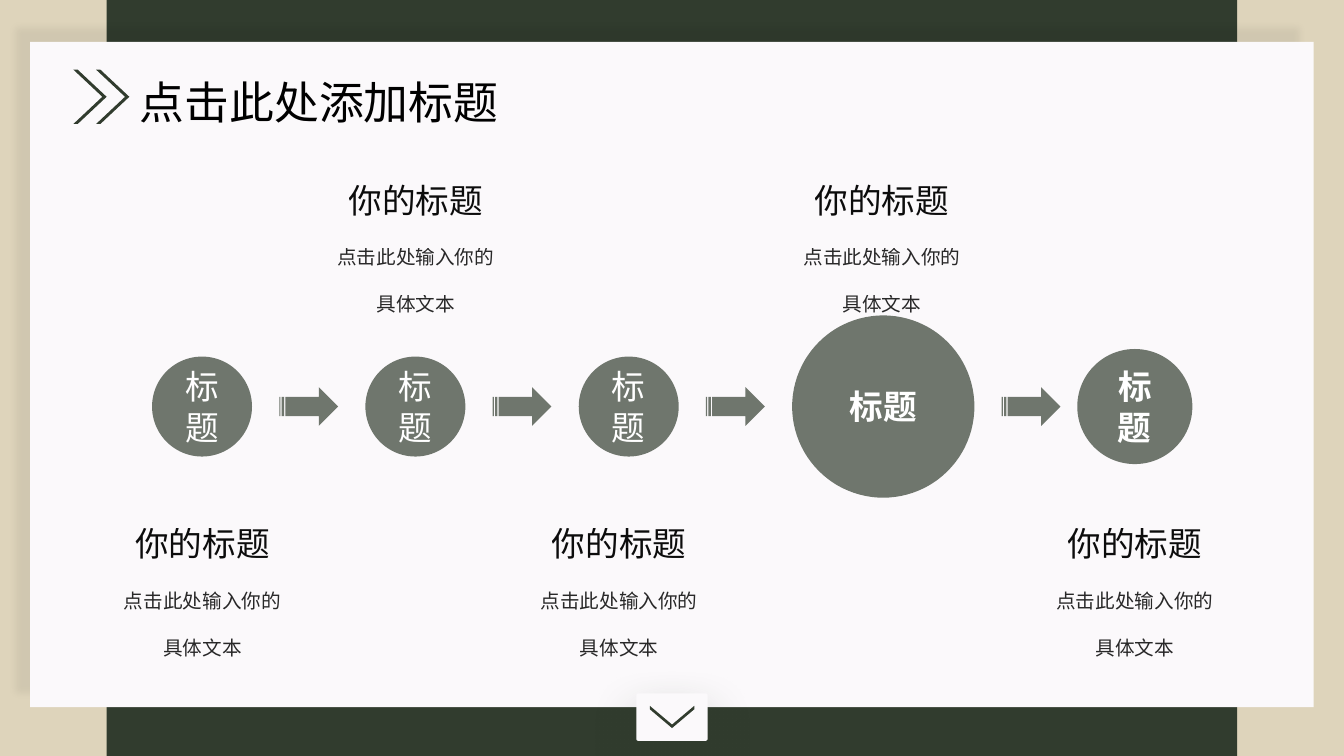
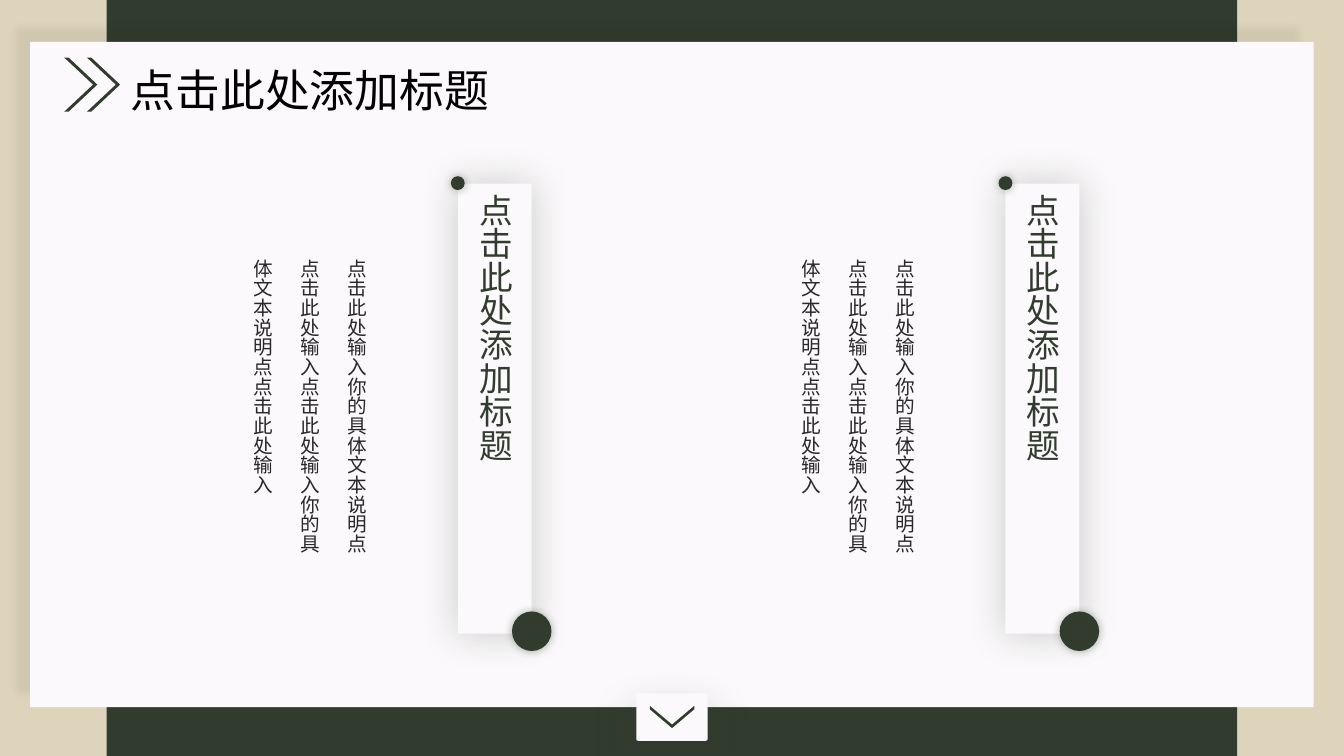
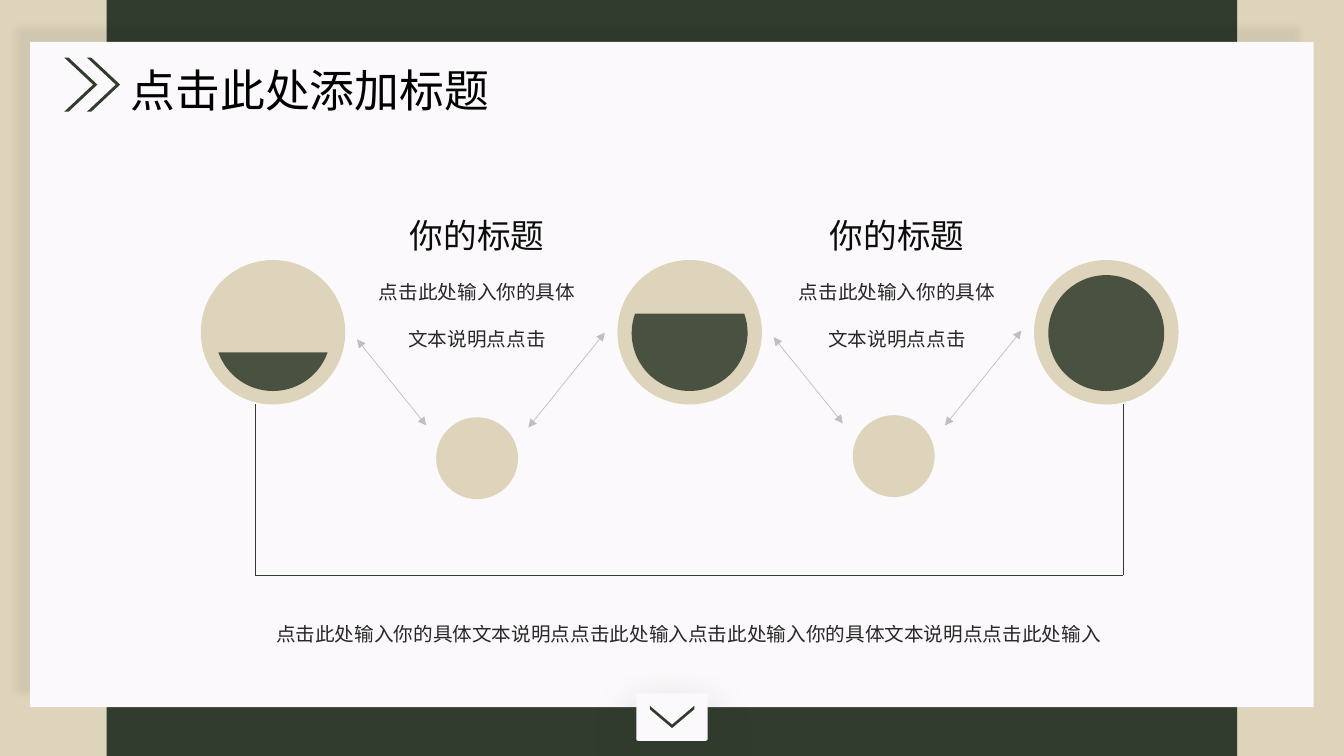
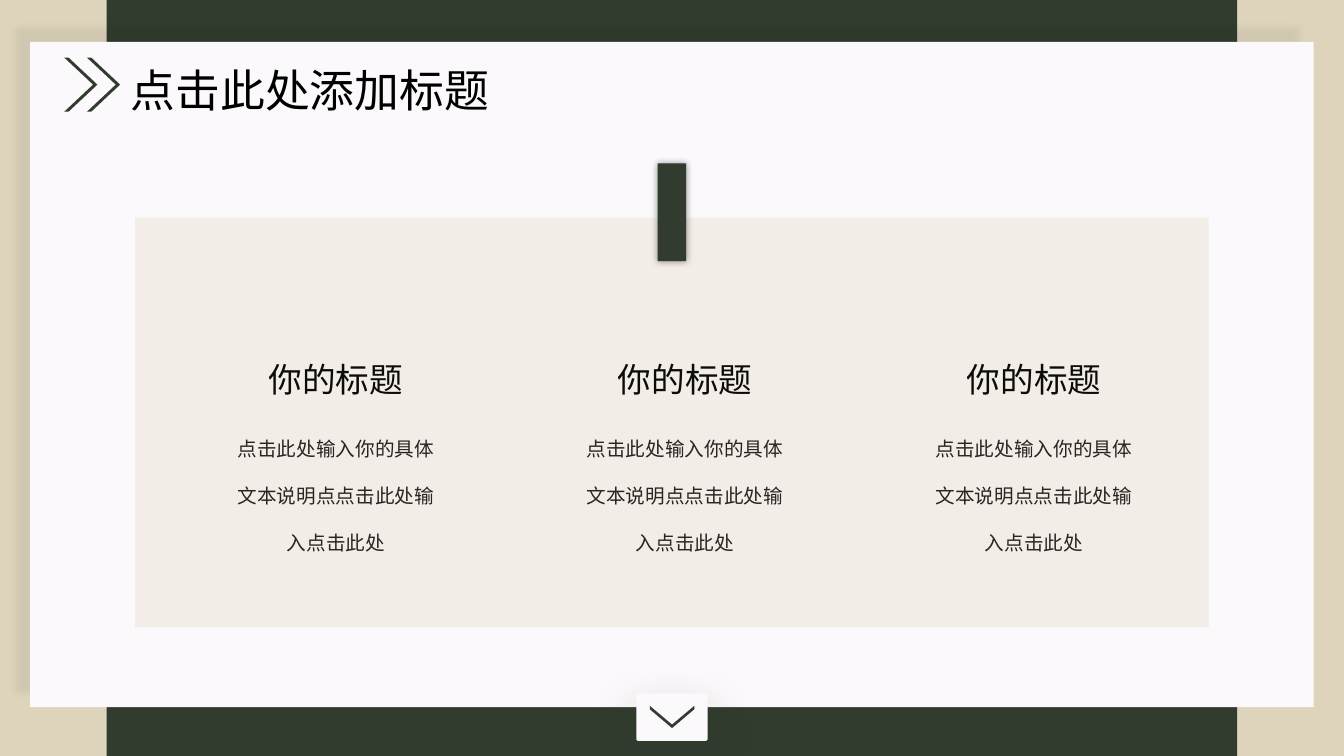
from math import asin, degrees

from lxml.etree import SubElement
from pptx import Presentation
from pptx.dml.color import RGBColor
from pptx.enum.lang import MSO_LANGUAGE_ID
from pptx.enum.shapes import MSO_CONNECTOR, MSO_SHAPE
from pptx.enum.text import MSO_ANCHOR, MSO_AUTO_SIZE, PP_ALIGN
from pptx.oxml.ns import qn
from pptx.util import Emu, Inches, Pt

COLS, ROWS = 160, 90
GREEN, BEIGE, PAPER = "313C2E", "DED4BB", "FBF9FB"
BLACK, WHITE, GREY = "000000", "FFFFFF", "BFBFBF"
TITLE = "点击此处添加标题"
HEADING = "你的标题"
PROMPT = "点击此处输入你的具体文本"
HALF = PROMPT + "说明点点击此处输入"


def rgb(value):
    return RGBColor.from_string(value)


def fade(element, alpha):
    if alpha < 100:
        for color in element.iter(qn("a:srgbClr")):
            SubElement(color, qn("a:alpha"), val=str(alpha * 1000))


class Deck:
    """Holds the shared style and the current slide of a 160 by 90 grid."""

    def __init__(self):
        self.prs = Presentation()
        self.prs.slide_width, self.prs.slide_height = Inches(13.333), Inches(7.5)
        self.layout = self.prs.slide_layouts[5]
        self.s = None

    def col(self, n):
        return Emu(round(self.prs.slide_width * n / COLS))

    def row(self, n):
        return Emu(round(self.prs.slide_height * n / ROWS))

    def box(self, x, y, w, h):
        return self.col(x), self.row(y), self.col(w), self.row(h)

    def slide(self, x=7.65, y=6.85):
        first = self.s is None
        self.s = self.prs.slides.add_slide(self.layout)
        if first:
            self.frame()
        sp = self.s.shapes.title
        sp.left, sp.top, sp.width, sp.height = self.box(x + 6.7, y, 45.5, 7.7)
        self.label(sp, TITLE, 32, BLACK, align=PP_ALIGN.LEFT)
        sp.text_frame.word_wrap = False
        sp.text_frame.vertical_anchor = MSO_ANCHOR.TOP
        sp.text_frame.auto_size = MSO_AUTO_SIZE.SHAPE_TO_FIT_TEXT
        for dx in (0, 2.7):
            self.shape(MSO_SHAPE.CHEVRON, x + dx, y, 3.95, 6.45, adj=[0.87])

    def frame(self):
        fill = self.layout.background.fill
        fill.solid()
        fill.fore_color.rgb = rgb(BEIGE)
        band = self.shape(MSO_SHAPE.RECTANGLE, 12.7, 0, 134.6, ROWS)
        paper = self.shape(MSO_SHAPE.RECTANGLE, 3.6, 5, 152.8, 79.2, PAPER,
                           shadow=(BLACK, 5, 5, 14, 225))
        envelope = self.shape(MSO_SHAPE.ROUNDED_RECTANGLE, 75.75, 82.55, 8.5, 5.65,
                              PAPER, adj=[0.041], shadow=(GREEN, 29, 35, 15, 90))
        flap = self.shape(MSO_SHAPE.CHEVRON, 78.68, 82.7, 2.65, 5.3, adj=[0.844])
        flap.rotation = 90
        for sp in (band, paper, envelope, flap):
            self.layout.shapes.element.append(sp.element)

    def shape(self, kind, x, y, w, h, color=GREEN, alpha=100, adj=(), shadow=None):
        sp = self.s.shapes.add_shape(kind, *self.box(x, y, w, h))
        for i, value in enumerate(adj):
            sp.adjustments[i] = value
        sp.fill.solid()
        sp.fill.fore_color.rgb = rgb(color)
        sp.line.fill.background()
        fade(sp.element.spPr, alpha)
        sp.shadow.inherit = False
        if shadow:
            tint, strength, blur, dist, angle = shadow
            outer = SubElement(sp.element.spPr.find(qn("a:effectLst")), qn("a:outerShdw"),
                               blurRad=str(Pt(blur)), dist=str(Pt(dist)),
                               dir=str(angle * 60000), algn="ctr", rotWithShape="0")
            SubElement(outer, qn("a:srgbClr"), val=tint)
            fade(outer, strength)
        return sp

    def circle(self, cx, cy, size, *args, kind=MSO_SHAPE.OVAL, **kwargs):
        return self.shape(kind, cx - size / 2, cy - size / 2, size, size, *args, **kwargs)

    def label(self, sp, text, size, color, alpha=100, align=PP_ALIGN.CENTER,
              spacing=1.0, bold=False, vertical=False):
        tf = sp.text_frame
        tf.text = text
        p = tf.paragraphs[0]
        p.alignment, p.line_spacing = align, spacing
        p.font.name, p.font.size, p.font.bold = "Arial", Pt(size), bold
        p.font.color.rgb = rgb(color)
        p.font.language_id = MSO_LANGUAGE_ID.SIMPLIFIED_CHINESE
        fade(sp.element.txBody, alpha)
        if vertical:
            sp.element.txBody.bodyPr.set("vert", "eaVert")

    def text(self, x, y, w, h, text, size=14, alpha=83, spacing=2.0, **kwargs):
        sp = self.s.shapes.add_textbox(*self.box(x, y, w, h))
        self.label(sp, text, size, BLACK, alpha, spacing=spacing, **kwargs)
        sp.text_frame.word_wrap = True
        sp.text_frame.auto_size = MSO_AUTO_SIZE.SHAPE_TO_FIT_TEXT

    def block(self, cx, y, body, w, h, drop=7.4):
        self.text(cx - 11, y, 22, 7.7, HEADING, 24, 94, 1.5)
        self.text(cx - w / 2, y + drop, w, h, body)

    def line(self, x1, y1, x2, y2, color=GREEN, arrows=False):
        c = self.s.shapes.add_connector(MSO_CONNECTOR.STRAIGHT, self.col(x1), self.row(y1),
                                        self.col(x2), self.row(y2))
        c.line.color.rgb = rgb(color)
        c.line.width = Pt(0.5)
        if arrows:
            for end in ("a:headEnd", "a:tailEnd"):
                SubElement(c.element.spPr.find(qn("a:ln")), qn(end), type="triangle")
        SubElement(c.element.spPr, qn("a:effectLst"))


def process(d):
    d.slide(8.75, 8.3)
    x, middle, gap, arrow = 18.1, 48.4, 3.25, 7
    steps = [(11.9, gap, False)] * 3 + [(21.7, 2, True), (13.7, None, True)]
    for size, after, bold in steps:
        sp = d.circle(x + size / 2, middle, size, alpha=69)
        d.label(sp, "标题", 24, WHITE, bold=bold)
        x += size + gap
        if after:
            d.shape(MSO_SHAPE.STRIPED_RIGHT_ARROW, x, middle - 2.3, arrow, 4.6, alpha=69)
            x += arrow + after
    for cx, y in ((24.1, 59.3), (73.7, 59.3), (135.1, 59.3), (105, 18.4), (49.5, 18.4)):
        d.block(cx, y, PROMPT, 22, 11.6)


def scrolls(d):
    d.slide()
    glow = (GREEN, 40, 6, 0, 0)
    for x in (54.5, 119.7):
        sp = d.shape(MSO_SHAPE.RECTANGLE, x, 21.85, 8.8, 53.6, PAPER,
                     shadow=(GREEN, 23, 28, 0, 0))
        d.label(sp, TITLE, 24, GREEN, vertical=True)
        d.text(x - 26.65, 29.65, 19.45, 37.9, HALF + HALF,
               align=PP_ALIGN.LEFT, vertical=True)
        d.circle(x + 8.8, 75.15, 4.7, shadow=glow)
        d.circle(x, 21.8, 1.65, shadow=glow)


def levels(d):
    d.slide()
    step = 49.6
    for i in range(3):
        cx = 32.5 + step * i
        start = degrees(asin(1 - 2 * (i + 1) / 3))
        d.circle(cx, 39.55, 17.2, BEIGE)
        d.circle(cx, 39.65, 13.8, kind=MSO_SHAPE.CHORD, alpha=86,
                 adj=[start % 360 * 0.6, (180 - start) * 0.6])
    for i in range(2):
        dx, dy = step * i, -0.25 * i
        d.line(42.5 + dx, 40.4 + dy, 50.75 + dx, 50.65 + dy, GREY, True)
        d.line(72 + dx, 39.6 + dy, 62.9 + dx, 50.9 + dy, GREY, True)
        d.circle(56.8 + dx, 54.55 + dy, 9.75, BEIGE)
        d.block(56.8 + 50 * i, 22.55, PROMPT + "说明点点击", 26.2, 11.6)
    left, right, top, base = 30.4, 133.7, 48.1, 68.5
    d.line(left, base, right, base)
    for x in (left, right):
        d.line(x, base, x, top)
    d.text(31.55, 70.7, 100.9, 6, HALF + HALF)


def columns(d):
    d.slide()
    d.shape(MSO_SHAPE.RECTANGLE, 16.1, 25.9, 127.8, 48.75, BEIGE, 30)
    for i in range(3):
        d.block(40 + 41.55 * i, 39.7, HALF + "点击此处", 27.8, 17.3, 8.9)
    d.shape(MSO_SHAPE.RECTANGLE, 78.3, 19.45, 3.4, 11.65, shadow=(BLACK, 40, 5, 0, 0))


def main():
    d = Deck()
    for build in (process, scrolls, levels, columns):
        build(d)
    d.prs.save("out.pptx")


if __name__ == "__main__":
    main()
